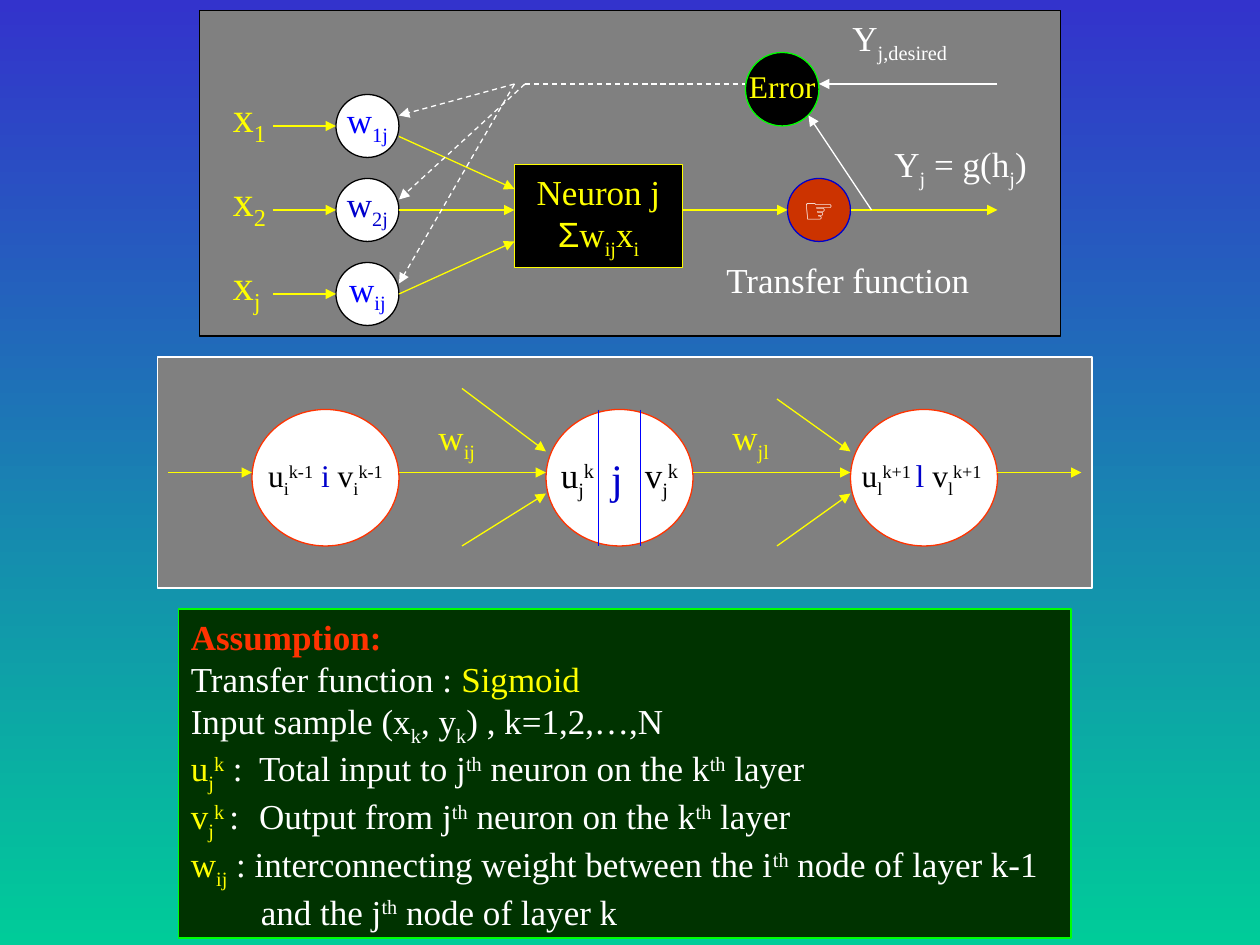
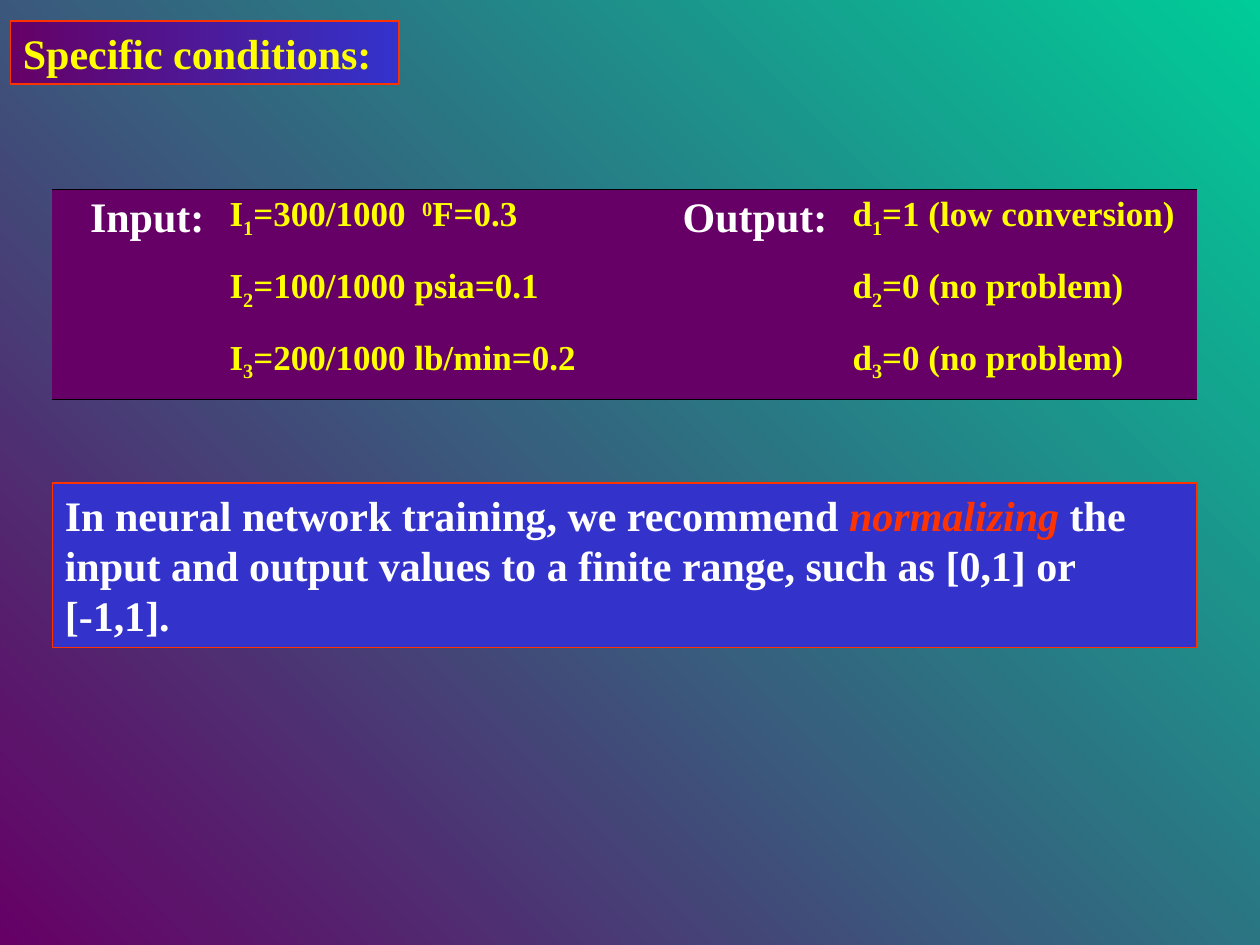
from dataclasses import dataclass

from lxml.etree import SubElement
from pptx import Presentation
from pptx.dml.color import RGBColor
from pptx.enum.dml import MSO_LINE
from pptx.enum.shapes import MSO_CONNECTOR, MSO_SHAPE
from pptx.enum.text import MSO_ANCHOR, PP_ALIGN
from pptx.oxml.ns import qn
from pptx.util import Pt


@dataclass(frozen=True)
class Theme:
    """Hold the colours, fonts and type sizes of the deck."""
    white: str = "FFFFFF"
    black: str = "000000"
    yellow: str = "FFFF00"
    grey: str = "808080"
    blue: str = "0000FF"
    navy: str = "0000CC"
    indigo: str = "3333CC"
    teal: str = "00CC99"
    plum: str = "660066"
    red: str = "FF3300"
    rust: str = "CC3300"
    lime: str = "00FF00"
    forest: str = "003300"
    serif: str = "Times New Roman"
    sans: str = "Arial"
    symbol: str = "Lato"
    small: int = 18
    body: int = 20
    large: int = 24
    stroke: float = 0.75
    rule: float = 0.45


@dataclass
class Para:
    """Hold the pieces of a paragraph with its tab stop and indent."""
    pieces: list
    tab: float = 0
    indent: float = 0


THEME = Theme()
BASELINES = {"_": "-25000", "^": "30000"}


def rgb(color):
    """Turn a hex string into a colour."""
    return RGBColor.from_string(color)


def paint(fill, colors, angle=0):
    """Fill with one colour, or with a gradient between two."""
    if isinstance(colors, str):
        fill.solid()
        fill.fore_color.rgb = rgb(colors)
        return
    fill.gradient()
    fill.gradient_angle = angle
    for stop, color in zip(fill.gradient_stops, colors):
        stop.color.rgb = rgb(color)


def add_run(paragraph, text, size=THEME.body, color=THEME.white, font=THEME.serif,
            bold=False, italic=False):
    """Add one run; a leading _ lowers it and a leading ^ raises it."""
    run = paragraph.add_run()
    shift = BASELINES.get(text[0])
    run.text = text[1:] if shift else text
    run.font.size, run.font.name = Pt(size), font
    run.font.bold, run.font.italic = bold, italic
    run.font.color.rgb = rgb(color)
    if shift:
        run.font._element.set("baseline", shift)


def write(frame, *paras, align=PP_ALIGN.LEFT, anchor=MSO_ANCHOR.TOP, wrap=True,
          top=3.6, **style):
    """Write paragraphs whose pieces are split into runs at each bar."""
    frame.word_wrap = wrap
    frame.vertical_anchor = anchor
    frame.margin_left = frame.margin_right = Pt(7.2)
    frame.margin_top, frame.margin_bottom = Pt(top), Pt(3.6)
    for index, para in enumerate(paras):
        para = para if isinstance(para, Para) else Para([para])
        paragraph = frame.paragraphs[0] if index == 0 else frame.add_paragraph()
        paragraph.alignment = align
        properties = paragraph._p.get_or_add_pPr()
        if para.indent:
            properties.set("marL", str(Pt(para.indent)))
        if para.tab:
            stops = SubElement(properties, qn("a:tabLst"))
            SubElement(stops, qn("a:tab"), pos=str(Pt(para.tab)), algn="l")
        for piece in para.pieces:
            markup, changes = (piece, {}) if isinstance(piece, str) else piece
            for text in markup.split("|"):
                add_run(paragraph, text, **{**style, **changes})


def block(slide, box, fill, line, kind=MSO_SHAPE.RECTANGLE):
    """Draw an outlined preset shape and return its text frame."""
    shape = slide.shapes.add_shape(kind, *map(Pt, box))
    shape.shadow.inherit = False
    paint(shape.fill, fill)
    shape.line.color.rgb = rgb(line)
    shape.line.width = Pt(THEME.stroke)
    return shape.text_frame


def node(slide, box, fill, line, *paras, top=0, **style):
    """Draw an ellipse with a centred label."""
    frame = block(slide, box, fill, line, MSO_SHAPE.OVAL)
    write(frame, *paras, align=PP_ALIGN.CENTER, anchor=MSO_ANCHOR.MIDDLE,
          wrap=False, top=top, **style)


def label(slide, box, *paras, **style):
    """Place free text."""
    write(slide.shapes.add_textbox(*map(Pt, box)).text_frame, *paras, **style)


def link(slide, start, end, color=THEME.yellow, arrow=True, dashed=False):
    """Draw a line, with an arrowhead at its end if wanted."""
    connector = slide.shapes.add_connector(
        MSO_CONNECTOR.STRAIGHT, *map(Pt, (*start, *end)))
    connector.line.color.rgb = rgb(color)
    connector.line.width = Pt(THEME.stroke)
    if dashed:
        connector.line.dash_style = MSO_LINE.DASH
    properties = connector._element.spPr
    if arrow:
        SubElement(properties.find(qn("a:ln")), qn("a:tailEnd"), type="triangle")
    SubElement(properties, qn("a:effectLst"))


def style_cell(cell, ruled_sides):
    """Fill a cell and rule only the named sides."""
    properties = cell._tc.get_or_add_tcPr()
    for side in "LRTB":
        line = SubElement(properties, qn(f"a:ln{side}"), w=str(Pt(THEME.rule)))
        if side in ruled_sides:
            fill = SubElement(line, qn("a:solidFill"))
            SubElement(fill, qn("a:srgbClr"), val=THEME.black)
        else:
            SubElement(line, qn("a:noFill"))
    paint(cell.fill, THEME.plum)


def new_slide(deck, colors, angle):
    """Add a blank slide with a gradient background."""
    slide = deck.slides.add_slide(deck.slide_layouts[6])
    paint(slide.background.fill, colors, angle)
    return slide


def draw_neuron(slide):
    """Draw the weighted inputs, the neuron and its error feedback."""
    block(slide, (114, 6, 492, 186), THEME.grey, THEME.black)
    write(block(slide, (294, 94, 96, 59), THEME.black, THEME.yellow),
          "Neuron j", Para([("Σ", {"font": THEME.sans}), "w|_ij|x|_i"]),
          align=PP_ALIGN.CENTER, color=THEME.yellow)
    inputs = [("1", "1j", THEME.blue), ("2", "2j", THEME.navy), ("j", "ij", THEME.blue)]
    weight_ends = [(78, 108), (120, 120), (168, 138)]
    feedback = [((294, 48), 66), ((300, 48), 114), ((294, 48), 162)]
    for row, (source, weight, color) in enumerate(inputs):
        middle = 72 + 48 * row
        node(slide, (192, middle - 18, 36, 36), THEME.white, THEME.black,
             f"w|_{weight}", color=color)
        label(slide, (126, middle - 24, 42, 40), f"x|_{source}",
              size=THEME.large, color=THEME.yellow)
        link(slide, (156, middle), (192, middle))
        leave, arrive = weight_ends[row]
        link(slide, (228, leave), (294, arrive))
        bend, target = feedback[row]
        link(slide, bend, (228, target), THEME.white, dashed=True)
    node(slide, (450, 102, 36, 36), THEME.rust, THEME.navy, "☞", top=3.6,
         font=THEME.symbol)
    node(slide, (426, 30, 42, 42), THEME.black, THEME.lime, "Error",
         size=THEME.small, color=THEME.yellow)
    link(slide, (300, 48), (426, 48), THEME.white, arrow=False, dashed=True)
    link(slide, (390, 120), (450, 120))
    link(slide, (486, 120), (570, 120))
    link(slide, (498, 120), (462, 66), THEME.white)
    link(slide, (570, 48), (468, 48), THEME.white)
    label(slide, (480, 6, 132, 34), "Y|_j,desired")
    label(slide, (504, 78, 108, 34), "Y|_j| = g(h|_j|)")
    label(slide, (408, 144, 174, 32), "Transfer function")


def draw_layers(slide):
    """Draw the chain of nodes i, j and l on three layers."""
    block(slide, (90, 204, 534, 132), THEME.grey, THEME.white)
    accent = {"color": THEME.navy}
    chain = [
        (144, [Para(["u|_i|^k-1", (" i ", accent), "v|_i|^k-1"])]),
        (312, []),
        (486, [Para(["u|_l|^k+1 ", ("l", accent), " v|_l|^k+1 "])]),
    ]
    for left, text in chain:
        node(slide, (left, 234, 84, 78), THEME.white, THEME.red, *text, top=3.6,
             size=THEME.small, color=THEME.black)
    for x in (342, 366):
        link(slide, (x, 234), (x, 312), THEME.blue, arrow=False)
    parts = [(330, "u|_j|^k", THEME.body, THEME.black),
             (352.5, "j", THEME.large, THEME.navy),
             (378, "v|_j|^k", THEME.body, THEME.black)]
    for center, text, size, color in parts:
        label(slide, (center - 18, 234, 36, 78), text, size=size, color=color,
              align=PP_ALIGN.CENTER, anchor=MSO_ANCHOR.MIDDLE, wrap=False)
    for start, end in ((96, 144), (228, 312), (396, 486), (570, 618)):
        link(slide, (start, 270), (end, 270))
    for start, top, end in ((264, 222, 312), (444, 228, 486)):
        link(slide, (start, top), (end, 258))
        link(slide, (start, 312), (end, 282))
    for left, weight in ((240, "ij"), (408, "jl")):
        label(slide, (left, 234, 42, 34), f"w|_{weight}", color=THEME.yellow,
              align=PP_ALIGN.CENTER)


def draw_assumptions(slide):
    """List the assumptions and the notation."""
    term = {"color": THEME.yellow}
    write(block(slide, (102, 348, 510, 188), THEME.forest, THEME.lime),
          Para([("Assumption:", {"color": THEME.red, "bold": True})]),
          Para(["Transfer function : ", ("Sigmoid", term)]),
          "Input sample (x|_k|, y|_k|) , k=1,2,…,N",
          Para([("u|_j|^k", term), " :\tTotal input to j|^th| neuron on the k|^th| layer"],
               tab=39),
          Para([("v|_j|^k ", term), ":\tOutput from j|^th| neuron on the k|^th| layer"],
               tab=39),
          Para([("w|_ij", term),
                " : interconnecting weight between the i|^th| node of layer k-1"]),
          Para(["and the j|^th| node of layer k"], indent=40))


def draw_conditions(slide):
    """Draw the table of inputs and outputs."""
    rows = [
        ["Input:", Para(["I|_1|=300/1000\t|^0|F=0.3"], tab=110),
         "Output:", "d|_1|=1 (low conversion)"],
        ["", "I|_2|=100/1000 psia=0.1", "", "d|_2|=0 (no problem)"],
        ["", "I|_3|=200/1000 lb/min=0.2", "", "d|_3|=0 (no problem)"],
    ]
    table = slide.shapes.add_table(3, 4, *map(Pt, (30, 108, 654, 120))).table
    table.first_row = table.horz_banding = False
    for column, width in zip(table.columns, (94, 247, 109, 204)):
        column.width = Pt(width)
    for row, height in zip(table.rows, (41, 41, 38)):
        row.height = Pt(height)
    for column in (0, 2):
        table.cell(0, column).merge(table.cell(2, column))
    heading = {"size": THEME.large, "align": PP_ALIGN.RIGHT}
    for r, texts in enumerate(rows):
        for c, text in enumerate(texts):
            cell = table.cell(r, c)
            style_cell(cell, "TB" if cell.is_merge_origin else ("T", "", "B")[r])
            if text:
                style = {"color": THEME.yellow} if c % 2 else heading
                write(cell.text_frame, text, bold=True, **style)


def main():
    """Build both slides and save the deck."""
    deck = Presentation()
    deck.slide_width, deck.slide_height = Pt(720), Pt(540)

    network = new_slide(deck, (THEME.indigo, THEME.teal), 270)
    draw_neuron(network)
    draw_layers(network)
    draw_assumptions(network)

    conditions = new_slide(deck, (THEME.plum, THEME.teal), 45)
    write(block(conditions, (6, 12, 222, 36), (THEME.plum, THEME.indigo), THEME.red),
          "Specific conditions:", size=THEME.large, color=THEME.yellow, bold=True)
    draw_conditions(conditions)
    write(block(conditions, (30, 276, 654, 94), THEME.indigo, THEME.red),
          Para(["In neural network training, we recommend ",
                ("normalizing", {"color": THEME.red, "italic": True}),
                " the input and output values to a finite range, such as [0,1] or [-1,1]."]),
          size=THEME.large, bold=True)
    deck.save("out.pptx")


if __name__ == "__main__":
    main()
